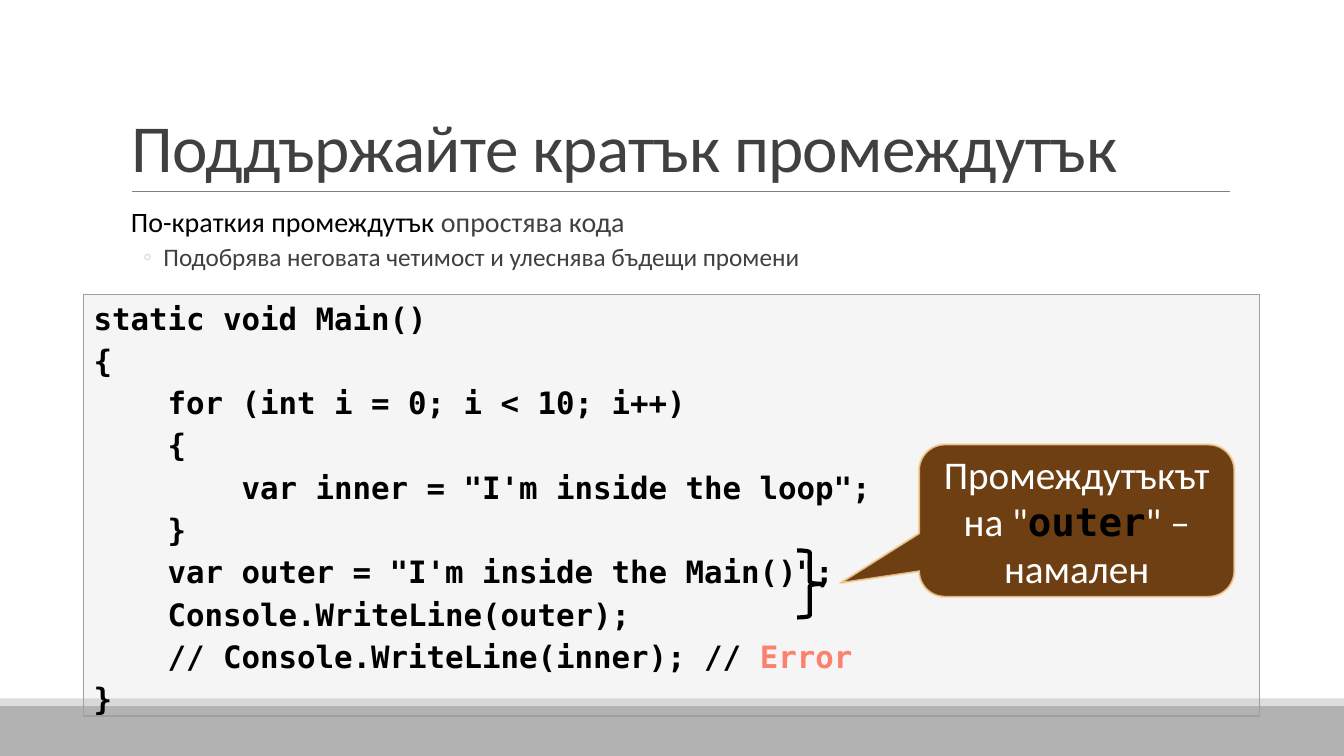
from lxml import etree
from pptx import Presentation
from pptx.dml.color import RGBColor
from pptx.enum.shapes import MSO_CONNECTOR, MSO_SHAPE
from pptx.enum.text import MSO_ANCHOR, MSO_AUTO_SIZE, PP_ALIGN
from pptx.oxml.ns import qn
from pptx.util import Cm, Pt

RECT = MSO_SHAPE.RECTANGLE
CALLOUT = MSO_SHAPE.ROUNDED_RECTANGULAR_CALLOUT
BRACE = MSO_SHAPE.RIGHT_BRACE
STRAIGHT = MSO_CONNECTOR.STRAIGHT
TOP, MIDDLE, BOTTOM = MSO_ANCHOR.TOP, MSO_ANCHOR.MIDDLE, MSO_ANCHOR.BOTTOM
LEFT, CENTER = PP_ALIGN.LEFT, PP_ALIGN.CENTER
NO_FIT = MSO_AUTO_SIZE.NONE

BLACK = RGBColor(0x00, 0x00, 0x00)
WHITE = RGBColor(0xFF, 0xFF, 0xFF)
TEXT_GREY = RGBColor(0x40, 0x40, 0x40)
RULE_GREY = RGBColor(0x80, 0x80, 0x80)
BAND_DARK = RGBColor(0xB2, 0xB2, 0xB2)
BAND_LIGHT = RGBColor(0xDD, 0xDD, 0xDD)
CODE_FILL = RGBColor(0xBF, 0xBF, 0xBF)
CODE_EDGE = RGBColor(0x9F, 0x9F, 0x9F)
ERROR_RED = RGBColor(0xFB, 0x81, 0x6D)
BROWN = RGBColor(0x66, 0x36, 0x06)
SAND = RGBColor(0xF8, 0xD4, 0x9E)

SANS, MONO = "Calibri", "DejaVu Sans Mono"
SLIDE_W, SLIDE_H = 33.87, 19.05

CODE = """static void Main()
{
    for (int i = 0; i < 10; i++)
    {
        var inner = "I'm inside the loop";
    }
    var outer = "I'm inside the Main()";
    Console.WriteLine(outer);
    // Console.WriteLine(inner); // Error
}"""


def set_all(obj, **values):
    for name, value in values.items():
        setattr(obj, name, value)


def place(sp, box):
    set_all(sp, **dict(zip(("left", "top", "width", "height"), map(Cm, box))))


def add_run(p, text, color, size, name=SANS, bold=False):
    r = p.add_run()
    r.text = text
    set_all(r.font, size=Pt(size), name=name, bold=bold)
    r.font.color.rgb = color
    return r


def set_alpha(fill_parent, percent):
    """Make the solid fill directly inside an XML element translucent."""
    color = fill_parent.find(qn("a:solidFill"))[0]
    etree.SubElement(color, qn("a:alpha")).set("val", str(percent * 1000))


def set_bullet(p, margin, indent, char=None):
    """Set the indents in cm, with a pale bullet or with none."""
    pPr = p._p.get_or_add_pPr()
    pPr.set("marL", str(Cm(margin)))
    pPr.set("indent", str(Cm(indent)))
    if char is None:
        etree.SubElement(pPr, qn("a:buNone"))
        return
    color = etree.SubElement(pPr, qn("a:buClr"))
    etree.SubElement(color, qn("a:srgbClr")).set("val", str(BAND_LIGHT))
    etree.SubElement(pPr, qn("a:buFont")).set("typeface", SANS)
    etree.SubElement(pPr, qn("a:buChar")).set("char", char)


def add_shape(s, kind, box, fill=None, line=None, width=1):
    sp = s.shapes.add_shape(kind, *map(Cm, box))
    sp.shadow.inherit = False
    if fill is None:
        sp.fill.background()
    else:
        sp.fill.solid()
        sp.fill.fore_color.rgb = fill
    if line is None:
        sp.line.fill.background()
    else:
        sp.line.color.rgb = line
        sp.line.width = Pt(width)
    return sp


def footer_bands(s, height=1.27, strip=0.18):
    top = SLIDE_H - height
    add_shape(s, RECT, (0, top, SLIDE_W, height), BAND_DARK)
    add_shape(s, RECT, (0, top - strip, SLIDE_W, strip), BAND_LIGHT)


def title_block(s, box):
    x, y, w, h = box
    title = s.shapes.title
    place(title, box)
    tf = title.text_frame
    set_all(tf, vertical_anchor=BOTTOM, word_wrap=True, auto_size=NO_FIT)
    p = tf.paragraphs[0]
    set_all(p, alignment=LEFT, line_spacing=0.85)
    r = add_run(p, "Поддържайте кратък промеждутък", TEXT_GREY, 48)
    r._r.get_or_add_rPr().set("spc", "-50")

    rule_y = Cm(y + h)
    rule = s.shapes.add_connector(STRAIGHT, Cm(x + 0.28), rule_y, Cm(x + w), rule_y)
    rule.line.color.rgb = RULE_GREY
    rule.line.width = Pt(0.5)
    etree.SubElement(rule._element.spPr, qn("a:effectLst"))


def body_block(s, box):
    body = s.placeholders[1]
    place(body, box)
    tf = body.text_frame
    set_all(tf, vertical_anchor=TOP, word_wrap=True, auto_size=NO_FIT,
            margin_left=0, margin_right=0)
    p = tf.paragraphs[0]
    set_all(p, line_spacing=0.9, space_before=Pt(12), space_after=Pt(2))
    set_bullet(p, 0.25, 0)
    add_run(p, "По-краткия промеждутък ", BLACK, 20)
    add_run(p, "опростява кода", TEXT_GREY, 20)
    p = tf.add_paragraph()
    set_all(p, level=1, line_spacing=0.9, space_before=Pt(2), space_after=Pt(4))
    set_bullet(p, 1.07, -0.51, "◦")
    add_run(p, "Подобрява неговата четимост и улеснява бъдещи промени", TEXT_GREY, 18)


def code_block(s, box):
    sp = add_shape(s, RECT, box, CODE_FILL, CODE_EDGE)
    set_alpha(sp._element.spPr, 15)
    tf = sp.text_frame
    set_all(tf, vertical_anchor=TOP, word_wrap=True)
    for i, line in enumerate(CODE.split("\n")):
        p = tf.add_paragraph() if i else tf.paragraphs[0]
        set_all(p, alignment=LEFT, space_before=Pt(3.8))
        plain, error, _ = line.partition("Error")
        add_run(p, plain, BLACK, 22, MONO, True)
        if error:
            add_run(p, error, ERROR_RED, 22, MONO, True)


def scope_callout(s, box):
    sp = add_shape(s, CALLOUT, box, BROWN, SAND, 1.5)
    for i, value in enumerate((-0.75, 0.41, 0.17)):
        sp.adjustments[i] = value
    set_alpha(sp._element.spPr, 95)
    set_alpha(sp._element.spPr.find(qn("a:ln")), 80)
    tf = sp.text_frame
    set_all(tf, vertical_anchor=MIDDLE, word_wrap=True)
    p = tf.paragraphs[0]
    p.alignment = CENTER
    add_run(p, "Промеждутъкът на \"", WHITE, 28)
    add_run(p, "outer", BLACK, 28, MONO, True)
    add_run(p, "\" – намален", WHITE, 28)


def scope_brace(s, box):
    sp = add_shape(s, BRACE, box, line=BLACK, width=3)
    sp.adjustments[0] = 0.08


def main():
    prs = Presentation()
    prs.slide_width, prs.slide_height = Cm(SLIDE_W), Cm(SLIDE_H)
    s = prs.slides.add_slide(prs.slide_layouts[1])
    footer_bands(s)
    title_block(s, (3.05, 0.79, 27.94, 4.04))
    body_block(s, (3.05, 5.13, 27.94, 11.18))
    code_block(s, (2.11, 7.42, 29.64, 10.62))
    scope_callout(s, (23.16, 11.2, 7.95, 3.84))
    scope_brace(s, (20.09, 13.87, 0.64, 1.69))
    prs.save("out.pptx")


if __name__ == "__main__":
    main()
